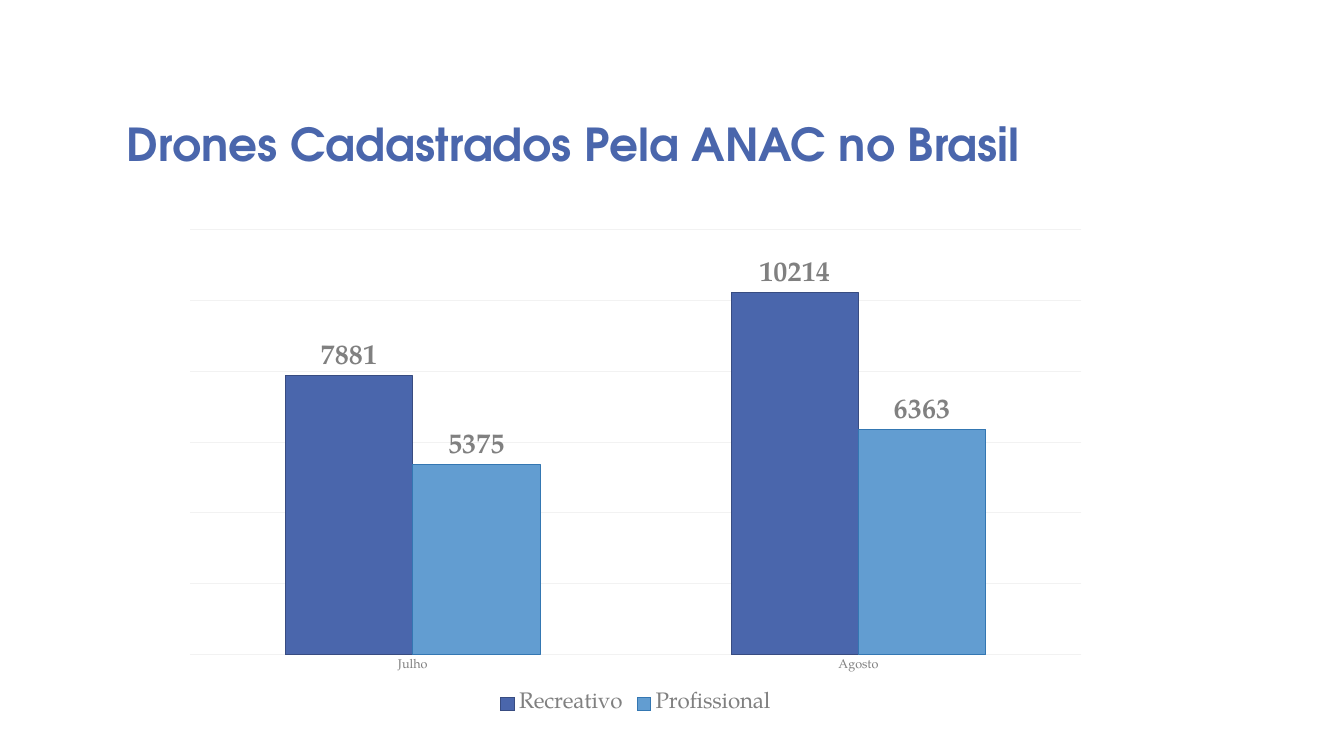
"""Build a slide with a clustered column chart of registered drones in Brazil."""
from dataclasses import dataclass

from lxml.etree import SubElement
from pptx import Presentation
from pptx.chart.chart import Chart
from pptx.chart.data import CategoryChartData
from pptx.chart.series import BarSeries
from pptx.dml.color import RGBColor
from pptx.enum.chart import XL_CHART_TYPE, XL_LABEL_POSITION, XL_LEGEND_POSITION, XL_TICK_MARK
from pptx.enum.text import MSO_ANCHOR
from pptx.oxml.ns import qn
from pptx.slide import Slide
from pptx.text.text import Font
from pptx.util import Inches, Length, Pt

WIDTH, HEIGHT = 13.33, 7.5


@dataclass(frozen=True)
class Theme:
    """Hold the colours, fonts and type sizes of the slide."""
    title_font: str = "TeX Gyre Adventor"
    chart_font: str = "TeX Gyre Pagella"
    accent: str = "4A66AC"
    accent_edge: str = "384C81"
    second: str = "629DD1"
    second_edge: str = "3477B2"
    text: str = "808080"
    grid: str = "F2F2F2"
    title_size: float = 32.4
    label_size: float = 20
    legend_size: float = 16
    axis_size: float = 9
    line_width: float = 0.75


@dataclass(frozen=True)
class Area:
    """Give a rectangle as percentages of the slide's width and height."""
    left: float
    top: float
    width: float
    height: float

    def lengths(self) -> tuple[Length, ...]:
        """Return left, top, width and height as lengths."""
        shares = (self.left, self.top, self.width, self.height)
        return tuple(Inches(share / 100 * side) for share, side in zip(shares, (WIDTH, HEIGHT) * 2))


@dataclass(frozen=True)
class DroneUse:
    """Describe one column series."""
    name: str
    counts: tuple[int, ...]
    fill: str
    edge: str


THEME = Theme()
TITLE_AREA = Area(8.7, 7.73, 71.27, 15.6)
CHART_AREA = Area(12.75, 29.07, 69.09, 66.13)
PLOT_SHARES = {"x": 0.02, "y": 0.02, "w": 0.96, "h": 0.85}
MONTHS = ("Julho", "Agosto")
USES = (
    DroneUse("Recreativo", (7881, 10214), THEME.accent, THEME.accent_edge),
    DroneUse("Profissional", (5375, 6363), THEME.second, THEME.second_edge),
)


def style_font(font: Font, name: str, size: float, color: str, bold: bool = False) -> None:
    """Set the face, size, colour and weight of a font."""
    font.name, font.size, font.bold = name, Pt(size), bold
    font.color.rgb = RGBColor.from_string(color)


def add_title(page: Slide, text: str) -> None:
    """Add the bottom-anchored title."""
    frame = page.shapes.add_textbox(*TITLE_AREA.lengths()).text_frame
    frame.word_wrap = True
    frame.vertical_anchor = MSO_ANCHOR.BOTTOM
    para = frame.paragraphs[0]
    para.line_spacing = 0.9
    span = para.add_run()
    span.text = text
    style_font(span.font, THEME.title_font, THEME.title_size, THEME.accent, True)


def style_series(series: BarSeries, use: DroneUse) -> None:
    """Colour a series and show its values above the columns."""
    series.format.fill.solid()
    series.format.fill.fore_color.rgb = RGBColor.from_string(use.fill)
    series.format.line.color.rgb = RGBColor.from_string(use.edge)
    series.format.line.width = Pt(THEME.line_width)
    labels = series.data_labels
    labels.show_value = True
    labels.position = XL_LABEL_POSITION.OUTSIDE_END
    style_font(labels.font, THEME.chart_font, THEME.label_size, THEME.text, True)


def style_axes(chart: Chart) -> None:
    """Keep month names and pale gridlines, and hide the value scale."""
    months = chart.category_axis
    months.major_tick_mark = months.minor_tick_mark = XL_TICK_MARK.NONE
    months.format.line.fill.background()
    style_font(months.tick_labels.font, THEME.chart_font, THEME.axis_size, THEME.text)
    counts = chart.value_axis
    counts.visible = False
    counts.minimum_scale, counts.maximum_scale, counts.major_unit = 0, 12000, 2000
    grid = counts.major_gridlines.format.line
    grid.color.rgb = RGBColor.from_string(THEME.grid)
    grid.width = Pt(THEME.line_width)


def place_plot(chart: Chart) -> None:
    """Fix the inner plot area as shares of the chart."""
    plot_area = chart._chartSpace.chart.plotArea
    for old_layout in plot_area.findall(qn("c:layout")):
        plot_area.remove(old_layout)
    layout = SubElement(plot_area, qn("c:layout"))
    plot_area.insert(0, layout)
    manual = SubElement(layout, qn("c:manualLayout"))
    settings = {"layoutTarget": "inner", "xMode": "edge", "yMode": "edge", **PLOT_SHARES}
    for tag, value in settings.items():
        SubElement(manual, qn(f"c:{tag}")).set("val", str(value))


def add_drone_chart(page: Slide) -> None:
    """Add the column chart with its legend."""
    table = CategoryChartData()
    table.categories = MONTHS
    for use in USES:
        table.add_series(use.name, use.counts)
    frame = page.shapes.add_chart(XL_CHART_TYPE.COLUMN_CLUSTERED, *CHART_AREA.lengths(), table)
    chart = frame.chart
    chart.has_title = False
    style_font(chart.font, THEME.chart_font, THEME.axis_size, THEME.text)
    plot = chart.plots[0]
    plot.gap_width, plot.overlap, plot.vary_by_categories = 150, 0, False
    for series, use in zip(plot.series, USES):
        style_series(series, use)
    style_axes(chart)
    place_plot(chart)
    chart.has_legend = True
    chart.legend.position = XL_LEGEND_POSITION.BOTTOM
    chart.legend.include_in_layout = False
    style_font(chart.legend.font, THEME.chart_font, THEME.legend_size, THEME.text)


def main() -> None:
    """Create the deck and save it."""
    deck = Presentation()
    deck.slide_width, deck.slide_height = Inches(WIDTH), Inches(HEIGHT)
    page = deck.slides.add_slide(deck.slide_layouts[6])
    add_title(page, "Drones Cadastrados Pela ANAC no Brasil")
    add_drone_chart(page)
    deck.save("out.pptx")


if __name__ == "__main__":
    main()
